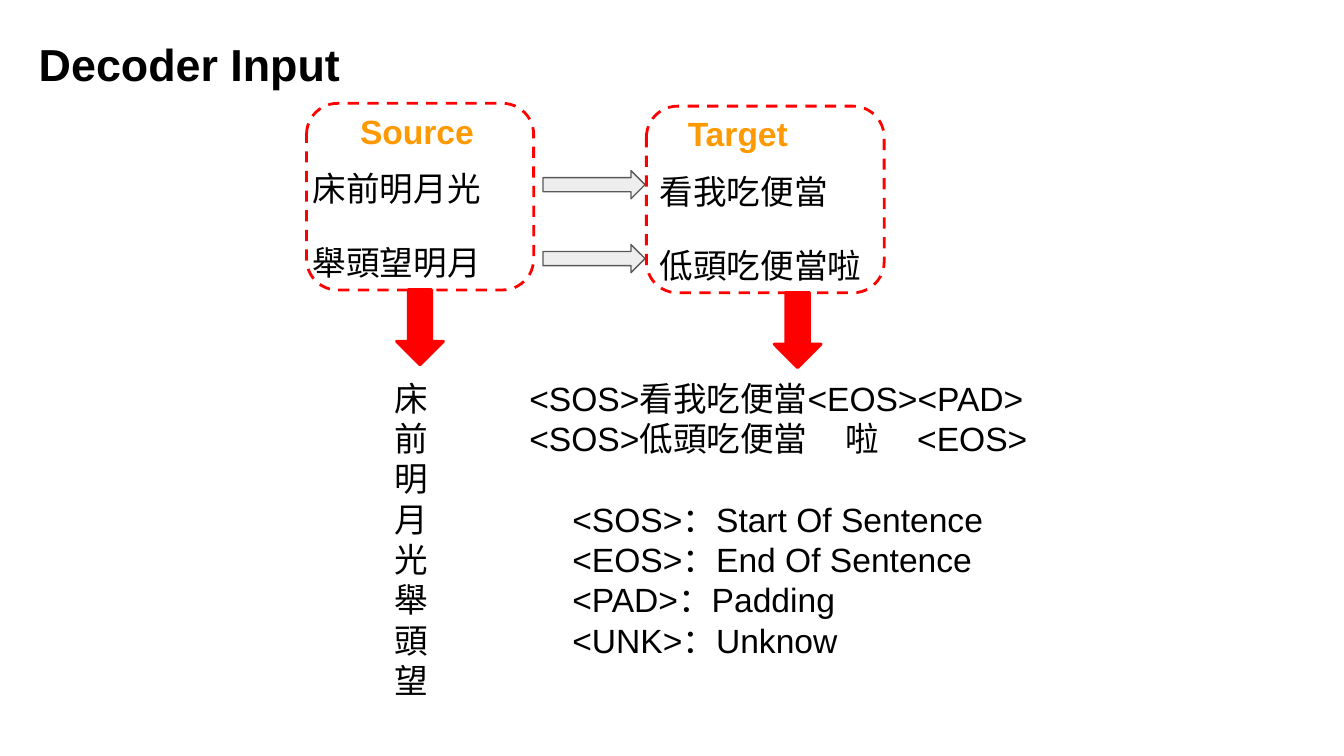
from lxml import etree
from pptx import Presentation
from pptx import util as u
from pptx.dml.color import RGBColor
from pptx.enum import dml, shapes
from pptx.oxml.ns import qn

FONT = "Arial"
BLACK, RED, ORANGE = "000000", "FF0000", "FF9900"
GREY, DARK = "EEEEEE", "595959"
KIND = shapes.MSO_SHAPE


def color(code):
    return RGBColor.from_string(code)


def box(x, y, w, h):
    return [u.Pt(v) for v in (x, y, w, h)]


def label(slide, area, lines, size=18, tint=BLACK, bold=False, tabs=()):
    """Add a text box with one paragraph per line and optional tab stops."""
    frame = slide.shapes.add_textbox(*box(*area)).text_frame
    frame.word_wrap = True
    frame.margin_left = frame.margin_right = u.Pt(7.2)
    frame.margin_top = frame.margin_bottom = u.Pt(7.2)
    for i, line in enumerate(lines):
        para = frame.add_paragraph() if i else frame.paragraphs[0]
        if "\t" in line:
            stops = etree.SubElement(para._p.get_or_add_pPr(), qn("a:tabLst"))
            for pos in tabs:
                etree.SubElement(stops, qn("a:tab"),
                                 pos=str(u.Pt(pos)), algn="l")
        run = para.add_run()
        run.text = line
        font = run.font
        font.size, font.bold, font.name = u.Pt(size), bold, FONT
        font.color.rgb = color(tint)
        etree.SubElement(run._r.get_or_add_rPr(), qn("a:ea"), typeface=FONT)


def figure(slide, kind, area, line, width, fill=None):
    shape = slide.shapes.add_shape(kind, *box(*area))
    shape.shadow.inherit = False
    if fill:
        shape.fill.solid()
        shape.fill.fore_color.rgb = color(fill)
    else:
        shape.fill.background()
    shape.line.color.rgb = color(line)
    shape.line.width = u.Pt(width)
    return shape


def group(slide, x, y, w, head, head_x, rows, text_x, down_x):
    """Draw a dashed frame with its heading, two sentences and red arrow."""
    label(slide, (head_x, y - 3.4, 100, 30), [head], tint=ORANGE, bold=True)
    for i, row in enumerate(rows):
        label(slide, (text_x, y + 27.4 + 39.6 * i, 153, 33), [row])
    frame = figure(slide, KIND.ROUNDED_RECTANGLE, (x, y, w, 100), RED, 1.5)
    frame.line.dash_style = dml.MSO_LINE.DASH
    figure(slide, KIND.DOWN_ARROW, (down_x, y + 99.8, 25.2, 40.3),
           RED, 1.5, RED)


def main():
    deck = Presentation()
    deck.slide_width, deck.slide_height = u.Pt(720), u.Pt(405)
    slide = deck.slides.add_slide(deck.slide_layouts[6])

    label(slide, (13.7, 12.2, 200, 32.4), ["Decoder Input"], 24, bold=True)
    for i in range(2):
        figure(slide, KIND.RIGHT_ARROW, (290.9, 91.4 + 39.6 * i, 54.7, 15.1),
               DARK, 0.75, GREY)
    group(slide, 164.2, 55.4, 121.7, "Source", 185.8,
          ["床前明月光", "舉頭望明月"], 160.5, 212.4)
    group(slide, 346.3, 56.9, 127.4, "Target", 361.4,
          ["看我吃便當", "低頭吃便當啦"], 346.3, 414.7)

    label(slide, (204.5, 195.1, 41, 180.7), ["床前明月光舉頭望"])
    label(slide, (276.5, 195.1, 355, 54.7),
          ["<SOS>看我吃便當<EOS><PAD>", "<SOS>低頭吃便當\t啦\t<EOS>"],
          tabs=(169.5, 207.8))
    label(slide, (299.5, 259.9, 308.9, 100.1),
          ["<SOS>：Start Of Sentence", "<EOS>：End Of Sentence",
           "<PAD>：Padding", "<UNK>：Unknow"])
    deck.save("out.pptx")


if __name__ == "__main__":
    main()
